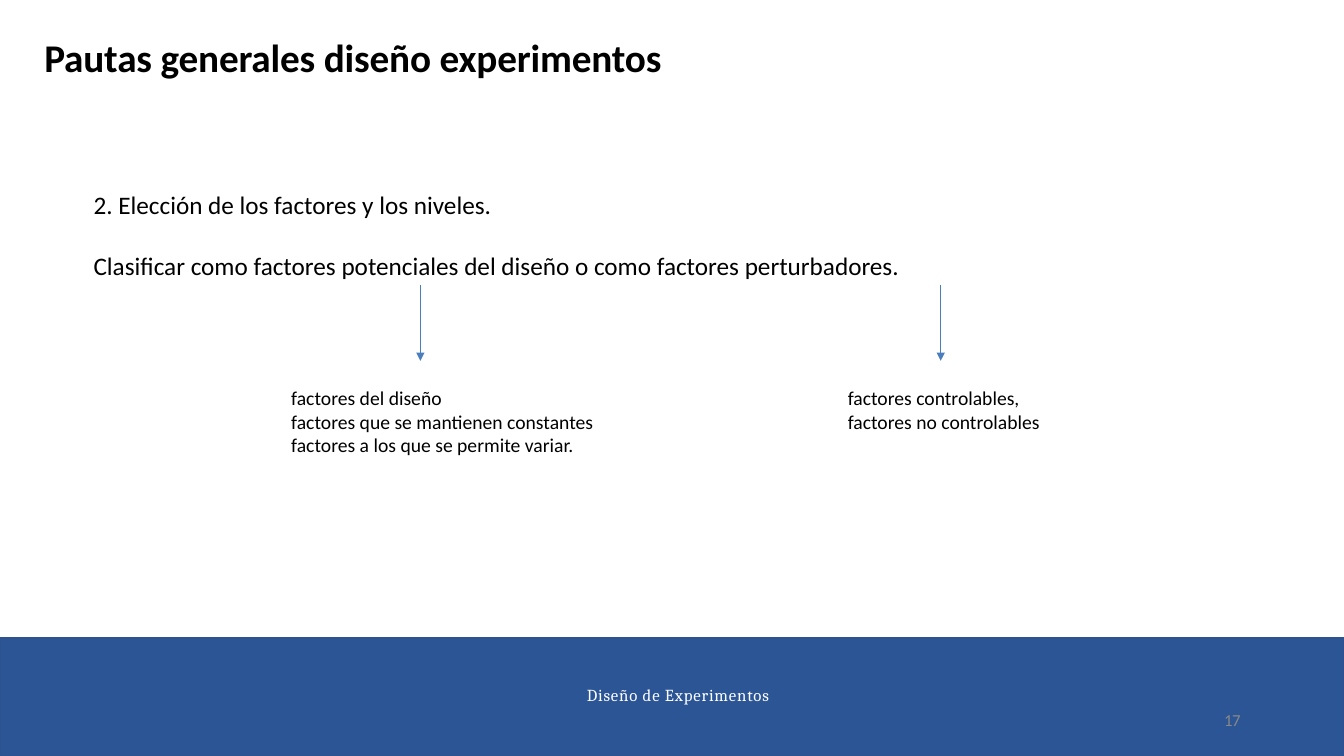
import lxml.etree
import pptx
import pptx.dml.color
import pptx.enum.shapes
import pptx.enum.text
import pptx.oxml.ns
import pptx.util

Inches = pptx.util.Inches
Pt = pptx.util.Pt
BLACK = "000000"


def color(value):
    return pptx.dml.color.RGBColor.from_string(value)


def add_text(page, box, lines, size, ink=BLACK, font="Calibri", bold=False,
             tracking=0, inset=(0, 0), before=0, gap=0, align=None, leading=None):
    shape = page.shapes.add_textbox(*[Inches(length) for length in box])
    frame = shape.text_frame
    frame.word_wrap = True
    frame.margin_left = frame.margin_right = Inches(inset[0])
    frame.margin_top = frame.margin_bottom = Inches(inset[1])
    frame.text = "\n".join(lines)
    for index, para in enumerate(frame.paragraphs):
        para.space_before = Pt(gap if index else before)
        para.alignment = align
        para.line_spacing = leading
        for span in para.runs:
            span.font.size = Pt(size)
            span.font.name = font
            span.font.bold = bold
            span.font.color.rgb = color(ink)
            if tracking:
                span.font._element.set("spc", str(round(tracking * 100)))


def add_arrow(page, x, top, length):
    arrow = page.shapes.add_connector(
        pptx.enum.shapes.MSO_CONNECTOR.STRAIGHT,
        Inches(x), Inches(top), Inches(x), Inches(top + length))
    arrow.line.color.rgb = color("4B7EBC")
    arrow.line.width = Pt(0.75)
    tail = lxml.etree.SubElement(
        arrow.line._get_or_add_ln(), pptx.oxml.ns.qn("a:tailEnd"))
    tail.set("type", "triangle")
    lxml.etree.SubElement(
        arrow._element.spPr, pptx.oxml.ns.qn("a:effectLst"))


def add_title(page, left, top, width, height):
    add_text(page, (left, top, width, height),
             ["Pautas generales diseño experimentos"], 28, bold=True,
             tracking=-0.1, inset=(0, 0.01), before=0.9)


def add_statement(page, left, top, width, height):
    add_text(page, (left, top, width, height),
             ["2. Elección de los factores y los niveles.",
              "Clasificar como factores potenciales del diseño o como "
              "factores perturbadores."],
             18, inset=(0.1, 0.05), gap=22,
             align=pptx.enum.text.PP_ALIGN.JUSTIFY)


def add_branch(page, left, top, width, height, arrow_offset, factors):
    arrow_length = 0.75
    text_offset = 0.95
    add_arrow(page, left + arrow_offset, top, arrow_length)
    add_text(page, (left, top + text_offset, width, height - text_offset),
             factors, 14, inset=(0.1, 0.05))


def add_footer(page, left, top, width, height):
    band = page.shapes.add_shape(
        pptx.enum.shapes.MSO_SHAPE.RECTANGLE,
        Inches(left), Inches(top), Inches(width), Inches(height))
    band.shadow.inherit = False
    band.fill.solid()
    band.fill.fore_color.rgb = color("2C5596")
    band.line.color.rgb = color("2E528F")
    band.line.width = Pt(0.96)
    add_text(page, (left + 5.82, top + 0.45, 1.97, 0.21),
             ["Diseño de Experimentos"], 12, "FFFFFF", "Cambria",
             tracking=0.6, inset=(0, 0.01), before=0.6)
    add_text(page, (left + 12.14, top + 0.74, 0.23, 0.2), ["17"], 12, "888888",
             tracking=-0.2, leading=Pt(12.4))


def main():
    deck = pptx.Presentation()
    deck.slide_width = Inches(13.33)
    deck.slide_height = Inches(7.5)
    page = deck.slides.add_slide(deck.slide_layouts[6])
    add_footer(page, 0, 6.33, 13.33, 1.17)
    add_title(page, 0.44, 0.32, 8.56, 0.48)
    add_statement(page, 0.83, 1.83, 12.03, 1.92)
    add_branch(page, 2.79, 2.83, 3.92, 1.76, 1.38,
               ["factores del diseño",
                "factores que se mantienen constantes",
                "factores a los que se permite variar."])
    add_branch(page, 8.31, 2.83, 3.92, 1.52, 1.02,
               ["factores controlables,", "factores no controlables"])
    deck.save("out.pptx")


if __name__ == "__main__":
    main()
